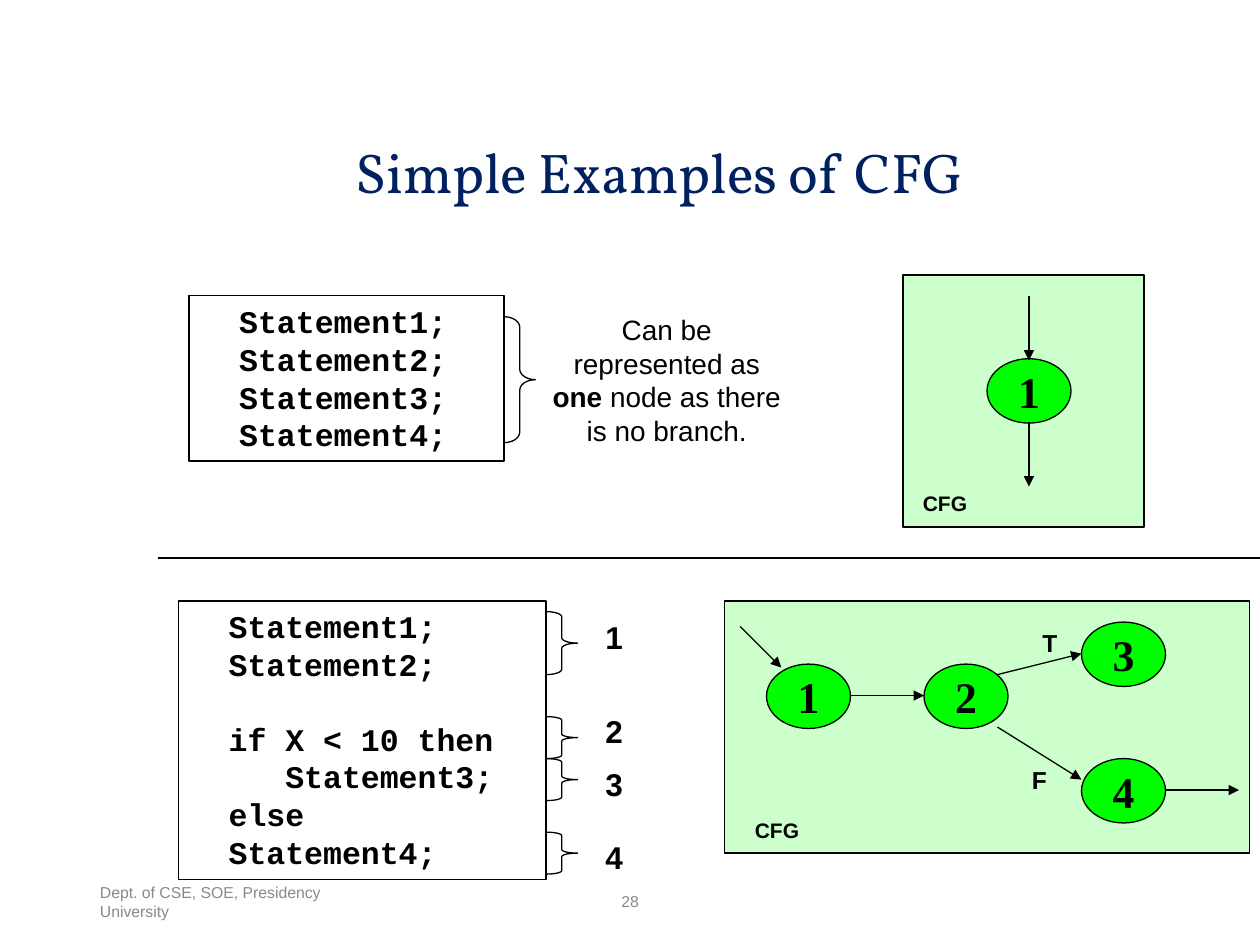
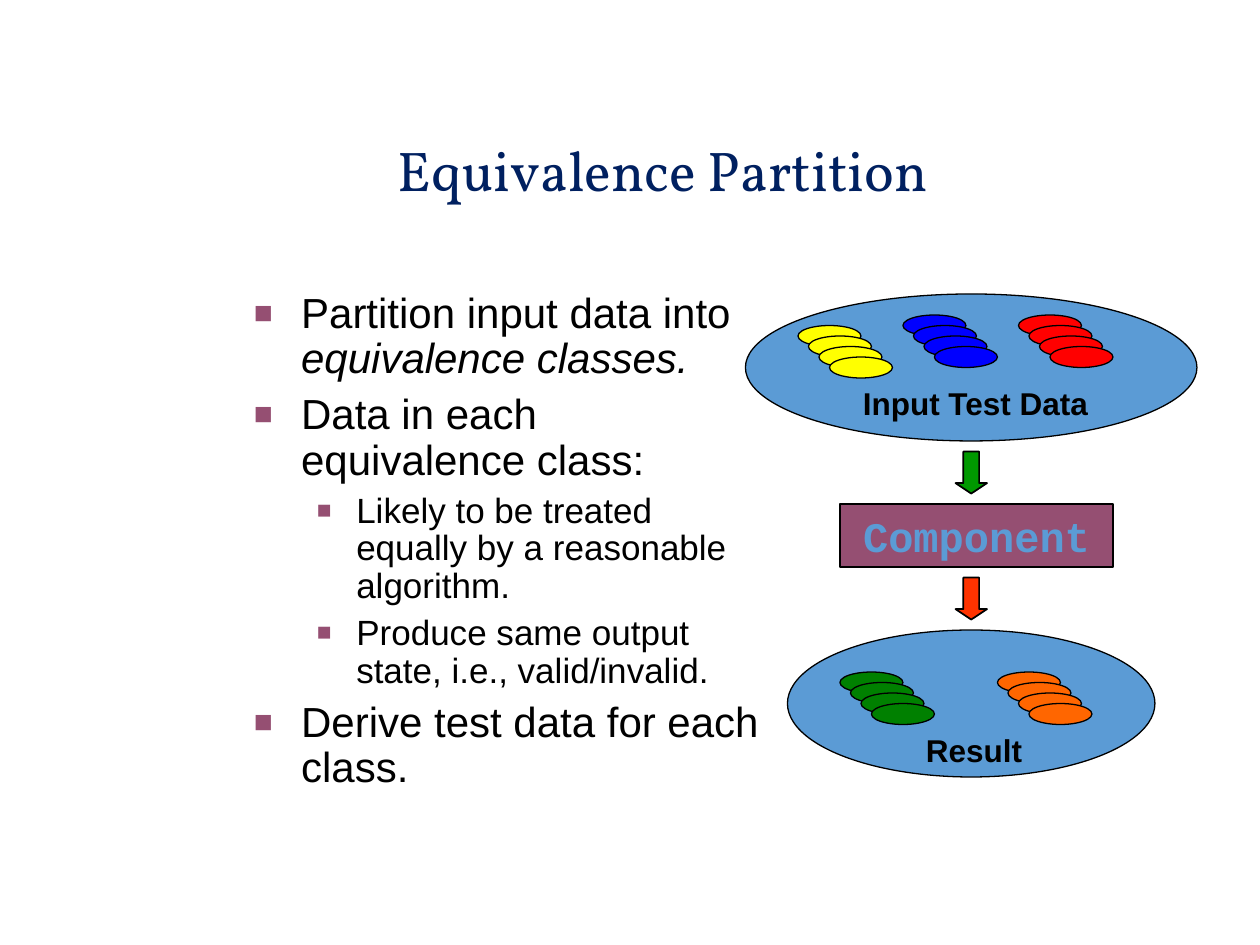
from pptx import Presentation
from pptx.dml.color import RGBColor
from pptx.enum import shapes, text
from pptx.oxml import ns, xmlchemy
from pptx.util import Pt

# Shared colours and fonts
BLACK = RGBColor(0, 0, 0)
NAVY = RGBColor(0x00, 0x20, 0x60)
GREY = RGBColor(0x89, 0x89, 0x89)
PALE_GREEN = RGBColor(0xCC, 0xFF, 0xCC)
NODE_GREEN = RGBColor(0x00, 0xFF, 0x00)
PLUM = RGBColor(0x95, 0x4F, 0x72)
SKY = RGBColor(0x5B, 0x9B, 0xD5)
ARROW_GREEN = RGBColor(0x00, 0x99, 0x00)
ARROW_RED = RGBColor(0xFF, 0x33, 0x00)
YELLOW = RGBColor(0xFF, 0xFF, 0x00)
BLUE = RGBColor(0x00, 0x00, 0xFF)
RED = RGBColor(0xFF, 0x00, 0x00)
DARK_GREEN = RGBColor(0x00, 0x80, 0x00)
ORANGE = RGBColor(0xFF, 0x66, 0x00)
SANS, CODE, SERIF, TITLE = "Arial", "Courier New", "Times New Roman", "Vollkorn"

KIND = shapes.MSO_SHAPE
LEFT, CENTER = text.PP_ALIGN.LEFT, text.PP_ALIGN.CENTER
TOP, MIDDLE = text.MSO_ANCHOR.TOP, text.MSO_ANCHOR.MIDDLE
NODE_W, NODE_H = 48, 36.8


def add_xml(parent, tag, **attrs):
    el = xmlchemy.OxmlElement(tag)
    for name, value in attrs.items():
        el.set(name, str(value))
    parent.append(el)


def set_font(font, name, size, color=BLACK, bold=False):
    font.name, font.size, font.bold = name, Pt(size), bold
    font.color.rgb = color


def write(sp, lines, name, size, color=BLACK, bold=False, align=LEFT,
          anchor=TOP, wrap=True):
    tf = sp.text_frame
    tf.word_wrap, tf.vertical_anchor = wrap, anchor
    for i, line in enumerate(lines):
        p = tf.paragraphs[0] if i == 0 else tf.add_paragraph()
        p.text, p.alignment = line, align
        set_font(p.font, name, size, color, bold)
    return tf


def label(s, x, y, w, h, words, size, name=SANS, **style):
    sp = s.shapes.add_textbox(Pt(x), Pt(y), Pt(w), Pt(h))
    return write(sp, [words], name, size, **style)


def shape(s, kind, x, y, w, h, fill=None, line=0.75):
    sp = s.shapes.add_shape(kind, Pt(x), Pt(y), Pt(w), Pt(h))
    sp.shadow.inherit = False
    if fill is None:
        sp.fill.background()
    else:
        sp.fill.solid()
        sp.fill.fore_color.rgb = fill
    sp.line.color.rgb, sp.line.width = BLACK, Pt(line)
    return sp


def connect(s, x1, y1, x2, y2, width=0.75, arrow=True):
    c = s.shapes.add_connector(shapes.MSO_CONNECTOR.STRAIGHT,
                               Pt(x1), Pt(y1), Pt(x2), Pt(y2))
    c.line.color.rgb, c.line.width = BLACK, Pt(width)
    if arrow:
        add_xml(c.line._get_or_add_ln(), "a:tailEnd", type="triangle")
    add_xml(c._element.spPr, "a:effectLst")


def title(s, words, center, y):
    w = 382
    tf = label(s, center - w / 2, y, w, 43, words, 32, TITLE,
               color=NAVY, align=CENTER)
    tf.margin_left = tf.margin_right = Pt(5)
    tf.margin_top = tf.margin_bottom = Pt(2)
    tf.paragraphs[0].line_spacing = 0.9


def footer(s, number):
    y, h = 500.5, 29
    label(s, 50, y, 162, h, "Dept. of CSE, SOE, Presidency University", 9,
          color=GREY, anchor=MIDDLE)
    label(s, 238.5, y, 243, h, number, 9,
          color=GREY, anchor=MIDDLE, align=CENTER)


# Code listing with braces along its right edge
def code_box(s, x, y, w, h, lines, braces):
    sp = shape(s, KIND.RECTANGLE, x, y, w, h)
    tf = write(sp, lines, CODE, 18, bold=True)
    brace_w = 18
    for top, height in braces:
        brace = shape(s, KIND.RIGHT_BRACE, x + w, y + top, brace_w, height)
        brace.adjustments[0] = height / 12 / brace_w
    return tf


# Control flow graph on a green panel
def cfg_panel(s, x, y, w, nodes, arrows, branches=()):
    h = 144
    shape(s, KIND.RECTANGLE, x, y, w, h, PALE_GREEN, 1)
    for name, dx, dy in nodes:
        sp = shape(s, KIND.OVAL, x + dx, y + dy, NODE_W, NODE_H, NODE_GREEN)
        write(sp, [name], SERIF, 25, bold=True, align=CENTER,
              anchor=MIDDLE, wrap=False)
    for x1, y1, x2, y2 in arrows:
        connect(s, x + x1, y + y1, x + x2, y + y2)
    for name, dx, dy in branches:
        label(s, x + dx, y + dy, 36, 24, name, 14, bold=True, align=CENTER)


def cfg_slide(s):
    title(s, "Simple Examples of CFG", 377, 81)
    footer(s, "28")

    # Straight-line code
    code_box(s, 108, 169, 180, 94.5,
             [f"  Statement{n};" for n in range(1, 5)], [(12, 72)])
    tf = label(s, 306, 175, 150, 84, "Can be represented as ", 16, align=CENTER)
    p = tf.paragraphs[0]
    for words, bold in (("one ", True), ("node as there is no branch.", False)):
        r = p.add_run()
        r.text, r.font.bold = words, bold
    cfg_panel(s, 516, 157, 138, [("1", 48, 48)],
              [(72, 12, 72, 49), (72, 84, 72, 121)])
    label(s, 516, 277, 48, 22, "CFG", 12, bold=True, align=CENTER)

    connect(s, 90, 319, 720, 319, 1, arrow=False)

    # Branching code, one number per block
    y = 343.5
    tf = code_box(s, 102, y, 210, 159,
                  ["  Statement1;", "  Statement2;", "  if X < 10 then",
                   "     Statement3;", "  else", "  Statement4;"],
                  [(6, 36), (66, 24), (90, 24), (132, 24)])
    tf.paragraphs[2].space_before = Pt(21)
    for number, top in enumerate((6, 60, 90, 132), 1):
        label(s, 336, y + top, 30, 29, str(number), 18, bold=True, align=CENTER)
    cfg_panel(s, 414, y, 300,
              [("1", 24, 36), ("2", 114, 36), ("3", 204, 12), ("4", 204, 90)],
              [(9, 14.5, 32.5, 38), (72, 54, 114, 54), (156, 42, 204, 30),
               (156, 72, 204, 102), (252, 108, 294, 108)],
              [("T", 168, 12), ("F", 162, 90)])
    label(s, 420, y + 120, 48, 22, "CFG", 12, bold=True, align=CENTER)


# Two-level bullet list; each item is a level and its (words, italic) runs
def bullet_list(s, x, y, w, h, items):
    levels = [(27, 27, 24, 6, 75), (58.5, 22.5, 20, 5, 70)]
    tf = s.shapes.add_textbox(Pt(x), Pt(y), Pt(w), Pt(h)).text_frame
    tf.word_wrap = True
    for i, (level, runs) in enumerate(items):
        margin, hang, size, before, bullet = levels[level]
        p = tf.paragraphs[0] if i == 0 else tf.add_paragraph()
        p.level, p.line_spacing = level, 0.9
        if i:
            p.space_before = Pt(before)
        pPr = p._p.get_or_add_pPr()
        pPr.set("marL", str(Pt(margin)))
        pPr.set("indent", str(-Pt(hang)))
        add_xml(pPr, "a:buClr")
        add_xml(pPr.find(ns.qn("a:buClr")), "a:srgbClr", val=PLUM)
        add_xml(pPr, "a:buSzPct", val=bullet * 1000)
        add_xml(pPr, "a:buFont", typeface=SANS)
        add_xml(pPr, "a:buChar", char="■")
        set_font(p.font, SANS, size)
        for words, italic in runs:
            r = p.add_run()
            r.text = words
            if italic:
                r.font.italic = True


# Large ellipse holding stacks of small ones and a caption
def data_set(s, x, y, w, caption, dx, dy, stacks):
    shape(s, KIND.OVAL, x, y, w, 84, SKY)
    for left, top, color in stacks:
        for step in range(0, 24, 6):
            shape(s, KIND.OVAL, x + left + step, y + top + step, 36, 12, color)
    label(s, x + dx, y + dy, 145, 29, caption, 18, bold=True, wrap=False)


def partition_slide(s):
    title(s, "Equivalence Partition", 379, 80)
    bullet_list(s, 138, 163.5, 306, 353, [
        (0, [("Partition input data into ", False),
             ("equivalence classes.", True)]),
        (0, [("Data in each equivalence class:", False)]),
        (1, [("Likely to be treated equally by a reasonable algorithm.", False)]),
        (1, [("Produce same output state, i.e., valid/invalid.", False)]),
        (0, [("Derive test data for each class.", False)])])

    # Flow from input through component to result
    data_set(s, 426, 168, 258, "Input Test Data", 60, 48,
             [(30, 18, YELLOW), (90, 12, BLUE), (156, 12, RED)])
    sp = shape(s, KIND.RECTANGLE, 480, 288, 156, 36, PLUM)
    write(sp, ["Component"], CODE, 24, SKY, True, CENTER)
    for y, color in ((258, ARROW_GREEN), (330, ARROW_RED)):
        sp = shape(s, KIND.DOWN_ARROW, 546, y, 18, 24, color, 1)
        sp.adjustments[0], sp.adjustments[1] = 0.5, 0.33
    data_set(s, 450, 360, 210, "Result", 72, 54,
             [(30, 24, DARK_GREEN), (120, 24, ORANGE)])


def main():
    prs = Presentation()
    prs.slide_width, prs.slide_height = Pt(720), Pt(540)
    for build in (cfg_slide, partition_slide):
        build(prs.slides.add_slide(prs.slide_layouts[6]))
    prs.save("out.pptx")


if __name__ == "__main__":
    main()
